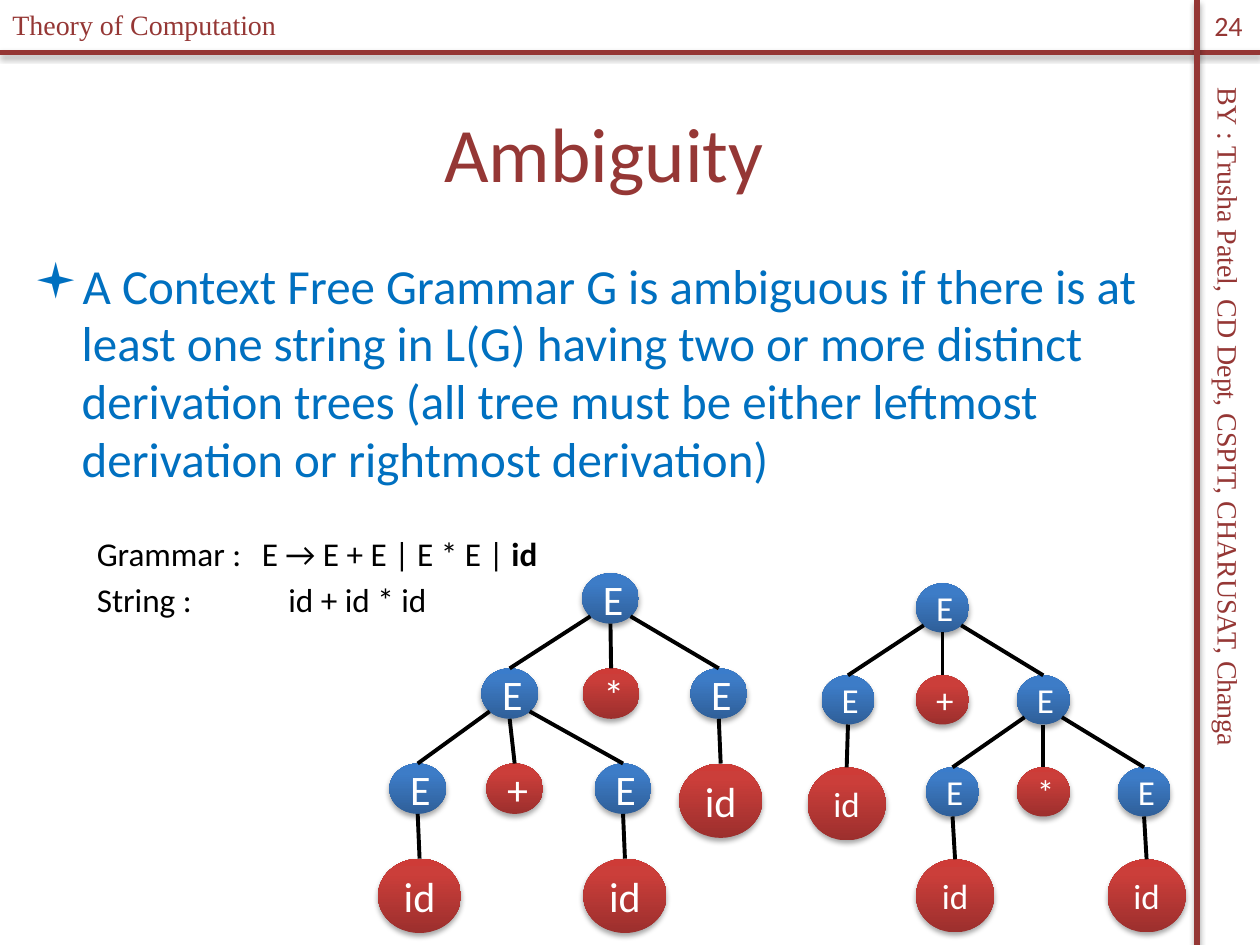
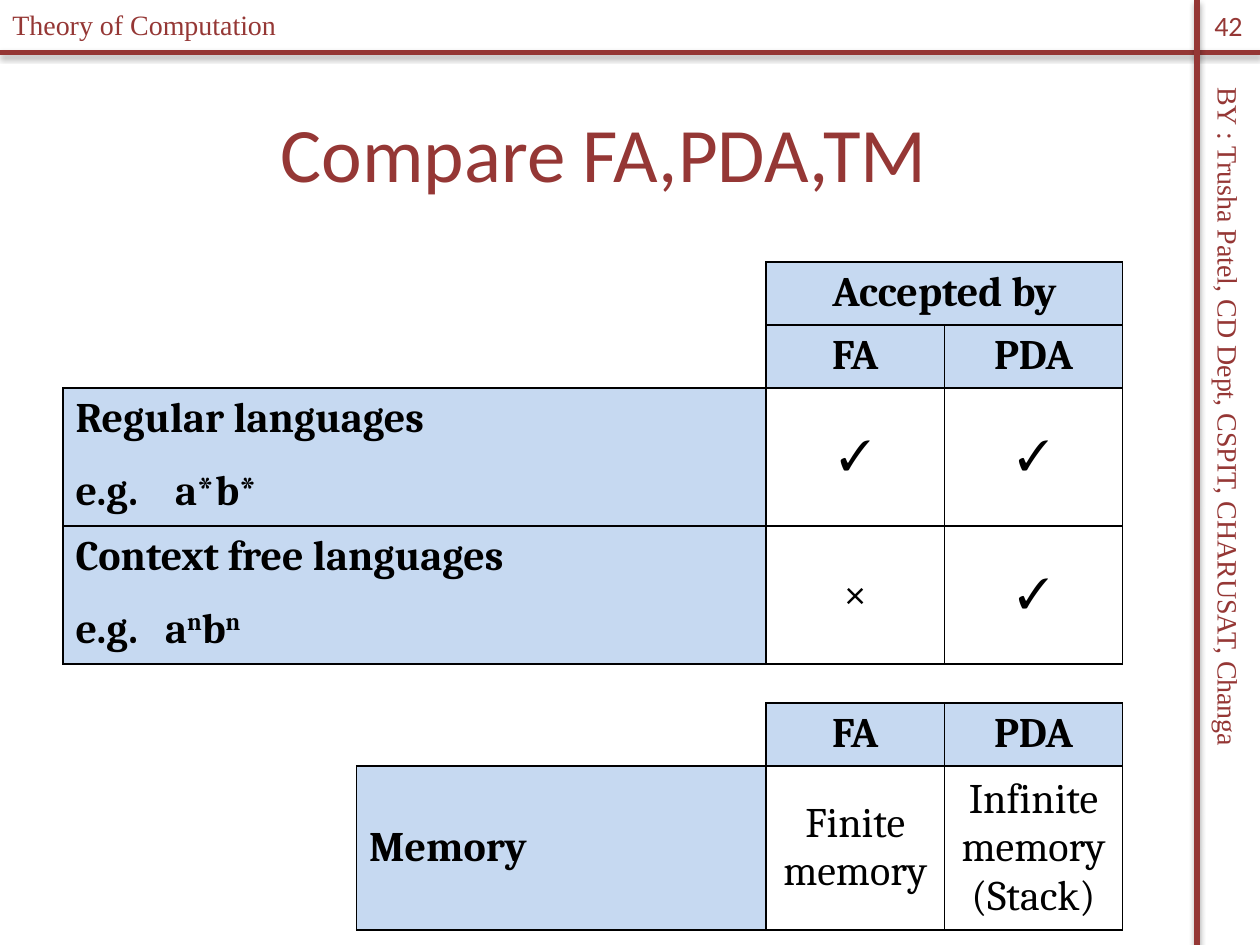
from dataclasses import dataclass
from math import sqrt

from lxml.etree import SubElement
from pptx import Presentation
from pptx.dml.color import RGBColor
from pptx.enum.shapes import MSO_CONNECTOR as Connector, MSO_SHAPE as Shape
from pptx.enum.text import MSO_ANCHOR as Anchor, PP_ALIGN as Align
from pptx.oxml.ns import qn
from pptx.util import Inches, Pt

COLUMNS, ROWS = 100, 75
SLIDE_WIDTH, SLIDE_HEIGHT = Inches(10), Inches(7.5)


@dataclass(frozen=True)
class Theme:
    maroon: str = "953735"
    blue: str = "0070C0"
    black: str = "000000"
    white: str = "FFFFFF"
    header_fill: str = "C6D9F1"
    variable_stops: tuple = ((0, "2F5F99"), (80, "3D7CC7"), (100, "3A7CCB"))
    terminal_stops: tuple = ((0, "9C2F2D"), (80, "CB3E3A"), (100, "CE3B37"))
    body_font: str = "Calibri"
    table_font: str = "Cambria"
    frame_font: str = "Times New Roman"
    title_size: float = 44
    body_size: float = 28
    table_size: float = 24
    grammar_size: float = 19
    frame_size: float = 16


@dataclass(frozen=True)
class TreeStyle:
    top: float
    row_step: float
    node_size: tuple
    leaf_size: tuple
    text_size: float


THEME = Theme()
SUPERSCRIPT = {"baseline": 30000}

LEFT_STYLE = TreeStyle(45.5, 7.55, (4.5, 4), (6.6, 5.9), 24)
LEFT_TREE = ("E", 48.45, [
    ("E", 40.45, [
        ("E", 33.15, [("id", 33.3, [])]),
        ("+", 40.85, []),
        ("E", 49.45, [("id", 49.6, [])]),
    ]),
    ("*", 48.5, []),
    ("E", 57.05, [("id", 57.2, [])]),
])
RIGHT_STYLE = TreeStyle(46.3, 7.3, (4.2, 3.9), (6.2, 5.8), 20)
RIGHT_TREE = ("E", 74.8, [
    ("E", 67.3, [("id", 67.2, [])]),
    ("+", 74.8, []),
    ("E", 82.8, [
        ("E", 75.6, [("id", 75.8, [])]),
        ("*", 82.8, []),
        ("E", 90.8, [("id", 91, [])]),
    ]),
])


def across(columns):
    return round(SLIDE_WIDTH * columns / COLUMNS)


def down(rows):
    return round(SLIDE_HEIGHT * rows / ROWS)


def box(left, top, width, height):
    return across(left), down(top), across(width), down(height)


def write(frame, paragraphs, *, size, font=THEME.body_font, color=THEME.black,
          bold=False, align=Align.LEFT, anchor=Anchor.TOP, before=0,
          first_before=0, line_spacing=None, tab_stops=()):
    frame.word_wrap = True
    frame.vertical_anchor = anchor
    for index, runs in enumerate(paragraphs):
        paragraph = frame.add_paragraph() if index else frame.paragraphs[0]
        paragraph.alignment = align
        paragraph.space_before = Pt(before if index else first_before)
        if line_spacing:
            paragraph.line_spacing = line_spacing
        if index < len(tab_stops) and tab_stops[index]:
            tabs = SubElement(paragraph._p.get_or_add_pPr(), qn("a:tabLst"))
            SubElement(tabs, qn("a:tab"), pos=str(across(tab_stops[index])), algn="l")
        for text, changes in [(runs, {})] if isinstance(runs, str) else runs:
            run = paragraph.add_run()
            run.text = text
            run.font.name = font
            run.font.size = Pt(size)
            run.font.bold = changes.get("bold", bold)
            run.font.color.rgb = RGBColor.from_string(color)
            if "baseline" in changes:
                run._r.get_or_add_rPr().set("baseline", str(changes["baseline"]))


def add_text(slide, place, paragraphs, rotation=0, **text_format):
    shape = slide.shapes.add_textbox(*box(*place))
    shape.rotation = rotation
    write(shape.text_frame, paragraphs, **text_format)
    return shape


def add_bullet(paragraph, symbol, indent):
    properties = paragraph._p.get_or_add_pPr()
    properties.set("marL", str(across(indent)))
    properties.set("indent", str(-across(indent)))
    SubElement(properties, qn("a:buFont"), typeface="Wingdings")
    SubElement(properties, qn("a:buChar"), char=symbol)


def add_shadow(effects):
    shadow = SubElement(effects, qn("a:outerShdw"), blurRad=str(Pt(3.1)),
                        dist=str(Pt(1.8)), dir="5400000", rotWithShape="0")
    color = SubElement(shadow, qn("a:srgbClr"), val=THEME.black)
    SubElement(color, qn("a:alpha"), val="35000")


def add_line(shapes, start, end, color, width):
    line = shapes.add_connector(Connector.STRAIGHT, across(start[0]), down(start[1]),
                                across(end[0]), down(end[1]))
    line.line.color.rgb = RGBColor.from_string(color)
    line.line.width = Pt(width)
    return line, SubElement(line._element.spPr, qn("a:effectLst"))


def fill_gradient(shape, stops):
    shape.fill.gradient()
    shape.fill.gradient_angle = 90
    stop_list = shape._element.spPr.find(".//" + qn("a:gsLst"))
    for stop in list(stop_list):
        stop_list.remove(stop)
    for position, color in stops:
        stop = SubElement(stop_list, qn("a:gs"), pos=str(position * 1000))
        SubElement(stop, qn("a:srgbClr"), val=color)


def add_node(shapes, label, center, top, size, text_size):
    width, height = size
    shape = shapes.add_shape(Shape.OVAL, *box(center - width / 2, top, width, height))
    fill_gradient(shape, THEME.variable_stops if label == "E" else THEME.terminal_stops)
    shape.line.fill.background()
    shape.shadow.inherit = False
    add_shadow(shape._element.spPr.find(qn("a:effectLst")))
    write(shape.text_frame, [label], size=text_size, color=THEME.white,
          align=Align.CENTER, anchor=Anchor.MIDDLE)
    return shape


def add_tree(shapes, tree, style, depth=0):
    label, center, children = tree
    top = style.top + depth * style.row_step
    width, height = style.leaf_size if label == "id" else style.node_size
    node = add_node(shapes, label, center, top, (width, height), style.text_size)
    sides = (-1, 0, 1) if len(children) == 3 else (0,)
    for side, child in zip(sides, children):
        child_node = add_tree(shapes, child, style, depth + 1)
        reach = sqrt(0.5) if side else 1
        start = (center + side * reach * width / 2, top + (1 + reach) * height / 2)
        end = (child[1], top + style.row_step)
        branch, _ = add_line(shapes, start, end, THEME.black, 2.25)
        branch.end_connect(child_node, 0)
    return node


def set_borders(cell, sides):
    properties = cell._tc.get_or_add_tcPr()
    for index, side in enumerate("LRTB"):
        line = properties.makeelement(qn(f"a:ln{side}"), {"w": str(Pt(1))})
        properties.insert(index, line)
        if side in sides:
            fill = SubElement(line, qn("a:solidFill"))
            SubElement(fill, qn("a:srgbClr"), val=THEME.black)
        else:
            SubElement(line, qn("a:noFill"))


def add_grid(slide, left, top, widths, heights, corner_rows):
    place = box(left, top, sum(widths), sum(heights))
    table = slide.shapes.add_table(len(heights), len(widths), *place).table
    table.first_row = table.horz_banding = False
    for column, width in zip(table.columns, widths):
        column.width = across(width)
    for row, height in zip(table.rows, heights):
        row.height = down(height)
    for row in range(len(heights)):
        for column in range(len(widths)):
            cell = table.cell(row, column)
            is_corner = row < corner_rows and column == 0
            if not is_corner and (row < corner_rows or column == 0):
                cell.fill.solid()
                cell.fill.fore_color.rgb = RGBColor.from_string(THEME.header_fill)
            else:
                cell.fill.background()
            corner_sides = "RB" if row == corner_rows - 1 else "R"
            set_borders(cell, corner_sides if is_corner else "LRTB")
    return table


def fill_cell(cell, paragraphs, bold=False, align=Align.CENTER, anchor=Anchor.MIDDLE,
              **text_format):
    write(cell.text_frame, paragraphs, size=THEME.table_size, font=THEME.table_font,
          bold=bold, align=align, **text_format)
    cell.vertical_anchor = anchor


def add_slide(presentation, title, number):
    slide = presentation.slides.add_slide(presentation.slide_layouts[6])
    for start, end in (((0, 4.15), (COLUMNS, 4.15)), ((95, 0), (95, ROWS))):
        _, effects = add_line(slide.shapes, start, end, THEME.maroon, 3)
        add_shadow(effects)
    frame_format = {"size": THEME.frame_size, "color": THEME.maroon}
    add_text(slide, (65.4, 36.2, 64.2, 3.7),
             ["BY : Trusha Patel, CD Dept, CSPIT, CHARUSAT, Changa"],
             rotation=90, font=THEME.frame_font, **frame_format)
    add_text(slide, (0, 0.1, 32.9, 3.7), ["Theory of Computation"],
             font=THEME.frame_font, **frame_format)
    centered = {"align": Align.CENTER, "anchor": Anchor.MIDDLE}
    add_text(slide, (95, 0, 5, 4), [str(number)], **frame_format, **centered)
    add_text(slide, (1.7, 5.8, 92.5, 12.5), [title], size=THEME.title_size,
             color=THEME.maroon, **centered)
    return slide


def build_ambiguity(presentation):
    slide = add_slide(presentation, "Ambiguity", 24)
    definition = add_text(
        slide, (1.7, 20, 92.5, 20),
        ["A Context Free Grammar G is ambiguous if there is at least one string in L(G) "
         "having two or more distinct derivation trees (all tree must be either leftmost "
         "derivation or rightmost derivation)"],
        size=THEME.body_size, color=THEME.blue, line_spacing=0.98)
    add_bullet(definition.text_frame.paragraphs[0], "▪", 3.8)
    add_text(slide, (6.7, 41.8, 40, 8),
             [[("Grammar :\tE → E + E | E * E | ", {}), ("id", {"bold": True})],
              "String :\tid + id * id"],
             size=THEME.grammar_size, before=3.8, tab_stops=(13.1, 15.2))
    for tree, style in ((RIGHT_TREE, RIGHT_STYLE), (LEFT_TREE, LEFT_STYLE)):
        add_tree(slide.shapes.add_group_shape().shapes, tree, style)


def build_comparison(presentation):
    slide = add_slide(presentation, "Compare FA,PDA,TM", 42)
    machine_width, header_height = 14.15, 4.84
    machines = ("FA", "PDA")
    accepted = add_grid(slide, 5, 20.8, (55.8, machine_width, machine_width),
                        (header_height, header_height, 10.63, 10.63), 2)
    accepted.cell(0, 1).merge(accepted.cell(0, 2))
    fill_cell(accepted.cell(0, 1), ["Accepted by"], bold=True, anchor=Anchor.TOP)
    languages = (
        ("Regular languages", "e.g.\ta*b*", 7.9, "✓✓"),
        ("Context free languages",
         [("e.g.\ta", {}), ("n", SUPERSCRIPT), ("b", {}), ("n", SUPERSCRIPT)], 7.1, "×✓"),
    )
    for row, (language, example, example_tab, marks) in enumerate(languages, 2):
        fill_cell(accepted.cell(row, 0), [language, example], bold=True, align=Align.LEFT,
                  anchor=Anchor.TOP, before=14, tab_stops=(None, example_tab))
        for column, mark in enumerate(marks, 1):
            fill_cell(accepted.cell(row, column), [mark])

    memory = add_grid(slide, 28.3, 55.8, (32.5, machine_width, machine_width),
                      (header_height, 12.5), 1)
    for table, row in ((accepted, 1), (memory, 0)):
        for column, machine in enumerate(machines, 1):
            fill_cell(table.cell(row, column), [machine], bold=True, anchor=Anchor.TOP)
    fill_cell(memory.cell(1, 0), ["Memory"], bold=True, align=Align.LEFT)
    fill_cell(memory.cell(1, 1), ["Finite memory"])
    fill_cell(memory.cell(1, 2), ["Infinite memory", "(Stack)"])


def main():
    presentation = Presentation()
    presentation.slide_width, presentation.slide_height = SLIDE_WIDTH, SLIDE_HEIGHT
    build_ambiguity(presentation)
    build_comparison(presentation)
    presentation.save("out.pptx")


if __name__ == "__main__":
    main()
